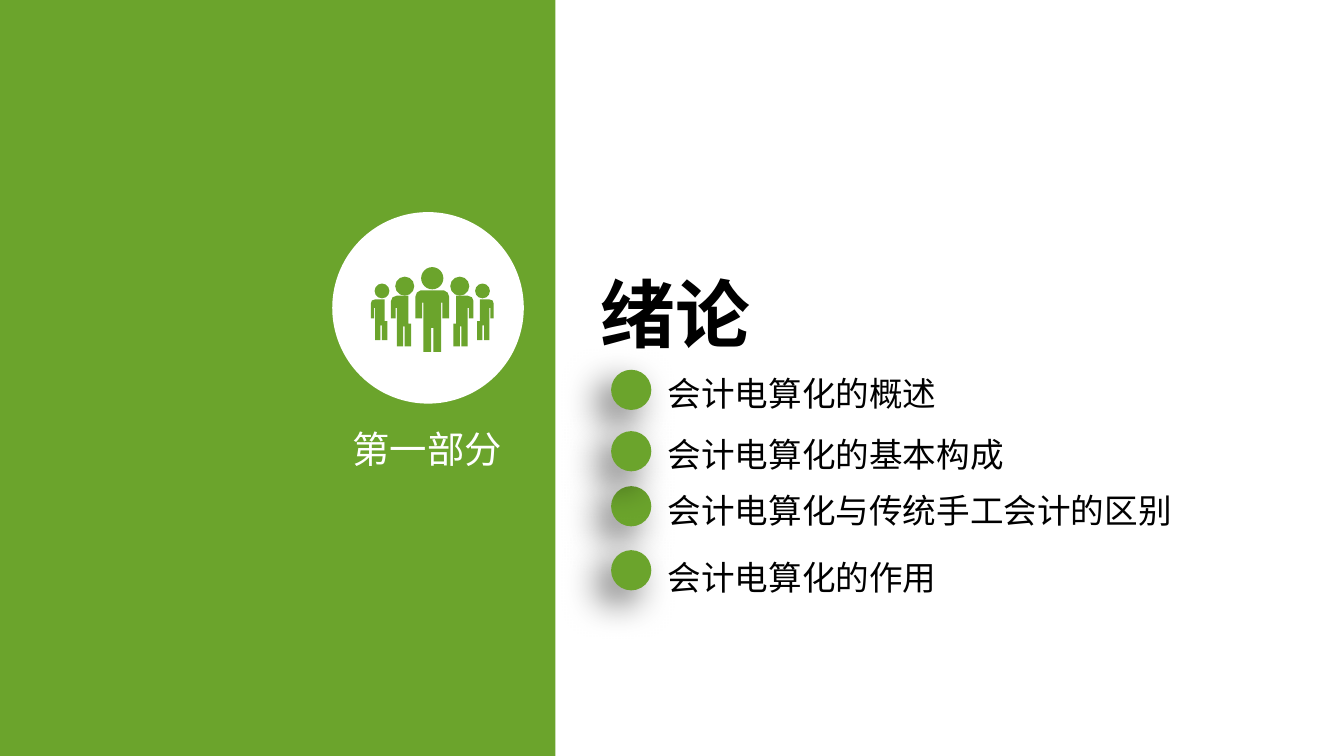
"""Build the section slide for part one, the introduction to computerised accounting."""
from dataclasses import dataclass

from lxml.etree import SubElement
from pptx import Presentation
from pptx.dml.color import RGBColor
from pptx.enum.shapes import MSO_SHAPE
from pptx.enum.text import MSO_AUTO_SIZE
from pptx.oxml.ns import qn
from pptx.util import Cm, Pt


@dataclass(frozen=True)
class Theme:
    green: RGBColor = RGBColor(0x6B, 0xA4, 0x2C)
    white: RGBColor = RGBColor(0xFF, 0xFF, 0xFF)
    black: RGBColor = RGBColor(0x00, 0x00, 0x00)
    font: str = "Noto Sans CJK SC"
    latin_font: str = "Calibri"
    title_size: int = 40
    part_size: int = 20
    topic_size: int = 18


class SectionSlide:
    def __init__(self, slide, theme):
        self.slide = slide
        self.theme = theme

    def paint(self, shape, color):
        shape.shadow.inherit = False
        shape.fill.solid()
        shape.fill.fore_color.rgb = color
        shape.line.fill.background()
        return shape

    def block(self, kind, left, top, width, height, color):
        shape = self.slide.shapes.add_shape(kind, Cm(left), Cm(top), Cm(width), Cm(height))
        return self.paint(shape, color)

    def disc(self, center_x, center_y, radius, color):
        return self.block(MSO_SHAPE.OVAL, center_x - radius, center_y - radius,
                          2 * radius, 2 * radius, color)

    def outline(self, contours, color):
        first, *others = [[(Cm(x), Cm(y)) for x, y in contour] for contour in contours]
        builder = self.slide.shapes.build_freeform(*first[0])
        builder.add_line_segments(first[1:])
        for contour in others:
            builder.move_to(*contour[0])
            builder.add_line_segments(contour[1:])
        return self.paint(builder.convert_to_shape(), color)

    def drop_shadow(self, shape):
        effects = shape._element.spPr.find(qn("a:effectLst"))
        shadow = SubElement(effects, qn("a:outerShdw"), blurRad=str(Pt(20)),
                            dist=str(Pt(10)), dir=str(135 * 60000),
                            algn="tr", rotWithShape="0")
        tint = SubElement(shadow, qn("a:srgbClr"), val=str(self.theme.black))
        SubElement(tint, qn("a:alpha"), val="60000")

    def text(self, wording, left, top, width, height, size, color,
             font=None, bold=False, wrap=False, inset=None):
        box = self.slide.shapes.add_textbox(Cm(left), Cm(top), Cm(width), Cm(height))
        frame = box.text_frame
        frame.text = wording
        frame.word_wrap = wrap
        frame.auto_size = MSO_AUTO_SIZE.SHAPE_TO_FIT_TEXT
        if inset is not None:
            frame.margin_left = frame.margin_right = Cm(inset)
            frame.margin_top = frame.margin_bottom = Cm(inset)
        run = frame.paragraphs[0].runs[0]
        run.font.name = font or self.theme.font
        run.font.size = Pt(size)
        run.font.bold = bold
        run.font.color.rgb = color
        SubElement(run.font._element, qn("a:ea"), typeface=run.font.name)

    def team(self, axis, color):
        leader = [(0, 5.49), (0.22, 5.49), (0.29, 5.53), (0.32, 5.61), (0.32, 6.02),
                  (0.19, 6.02), (0.19, 5.72), (0.17, 5.72), (0.17, 6.65),
                  (0.02, 6.65), (0.02, 6.2), (0, 6.2)]
        colleague = [(0.4, 6.12), (0.4, 6.55), (0.52, 6.55), (0.52, 6.17), (0.55, 6.17),
                     (0.55, 6.55), (0.67, 6.55), (0.67, 5.82), (0.69, 5.82), (0.69, 6.02),
                     (0.78, 6.02), (0.78, 5.69), (0.75, 5.62), (0.67, 5.59),
                     (0.45, 5.59), (0.45, 6.12)]
        junior = [(0.85, 6.07), (0.85, 6.43), (0.95, 6.43), (0.95, 6.15), (0.98, 6.15),
                  (0.98, 6.43), (1.08, 6.43), (1.08, 5.82), (1.1, 5.82), (1.1, 6.02),
                  (1.16, 6.02), (1.16, 5.74), (1.14, 5.68), (1.08, 5.66),
                  (0.9, 5.66), (0.9, 6.07)]

        def placed(points, side):
            return [(axis + side * x, y) for x, y in points]

        bodies = [placed(leader, 1) + placed(leader, -1)[::-1]]
        bodies += [placed(body, side) for body in (colleague, junior) for side in (-1, 1)]
        self.outline(bodies, color)
        self.disc(axis, 5.26, 0.21, color)
        for offset, center_y, radius in ((0.52, 5.41, 0.18), (0.95, 5.5, 0.14)):
            for side in (-1, 1):
                self.disc(axis + side * offset, center_y, radius, color)

    def topic(self, wording, text_top, bullet_y, width, font):
        theme = self.theme
        self.text(wording, 12.37, text_top, width, 1.02, theme.topic_size,
                  theme.black, font)
        self.drop_shadow(self.disc(11.93, bullet_y, 0.38, theme.green))


def main():
    theme = Theme()
    deck = Presentation()
    deck.slide_width, deck.slide_height = Cm(25.4), Cm(14.29)
    section = SectionSlide(deck.slides.add_slide(deck.slide_layouts[6]), theme)

    section.block(MSO_SHAPE.RECTANGLE, 0, 0, 10.5, 14.29, theme.green)
    section.text("绪论", 11.1, 4.93, 3.38, 1.96, theme.title_size, theme.black, bold=True)
    section.text("第一部分", 6.66, 8.05, 3.45, 0.86, theme.part_size, theme.white,
                 wrap=True, inset=0)
    section.disc(8.09, 5.82, 1.81, theme.white)
    section.team(8.17, theme.green)

    topics = (
        ("会计电算化的概述", 6.92, 7.37, 5.64, theme.font),
        ("会计电算化与传统手工会计的区别", 9.14, 9.57, 10.13, theme.latin_font),
        ("会计电算化的作用", 10.4, 10.78, 5.64, theme.font),
        ("会计电算化的基本构成", 8.08, 8.53, 6.93, theme.font),
    )
    for topic in topics:
        section.topic(*topic)

    deck.save("out.pptx")


if __name__ == "__main__":
    main()
